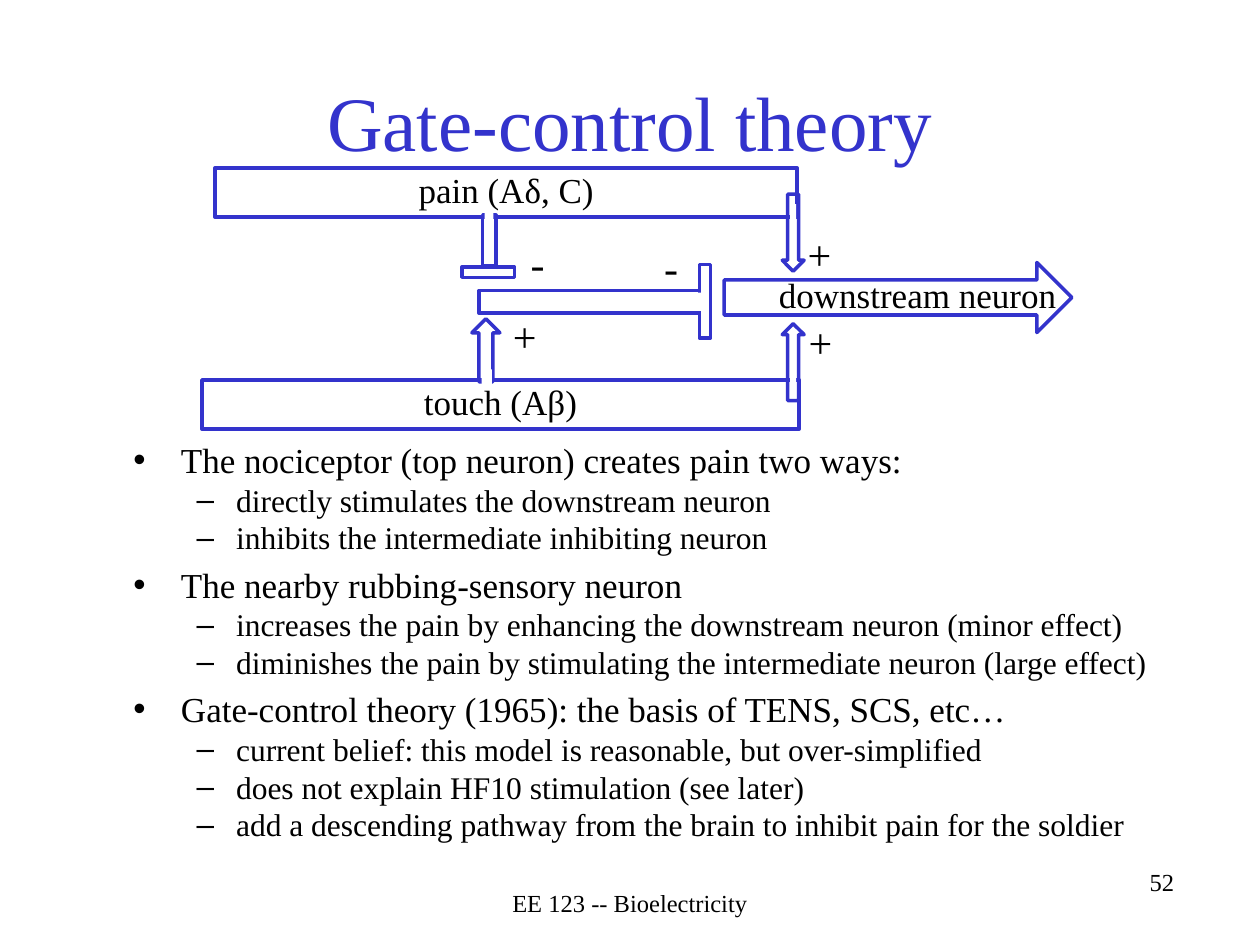
from lxml.etree import SubElement
from pptx import Presentation
from pptx.dml.color import RGBColor
from pptx.enum.shapes import MSO_SHAPE as Kind
from pptx.enum.text import MSO_ANCHOR as Anchor, MSO_AUTO_SIZE as Fit, PP_ALIGN as Align
from pptx.oxml.ns import qn
from pptx.util import Pt

FONT = "Times New Roman"
COLORS = {"blue": "3333CC", "text": "000000", "mask": "FFFFFF"}
LEVELS = [
    {"mark": "•", "size": 20, "left": 27.2, "hang": 27.2, "gap": 4},
    {"mark": "–", "size": 18, "left": 58.7, "hang": 22.5, "gap": 0},
]
POINTS = [
    ("The nociceptor (top neuron) creates pain two ways:", [
        "directly stimulates the downstream neuron",
        "inhibits the intermediate inhibiting neuron",
    ]),
    ("The nearby rubbing-sensory neuron", [
        "increases the pain by enhancing the downstream neuron (minor effect)",
        "diminishes the pain by stimulating the intermediate neuron (large effect)",
    ]),
    ("Gate-control theory (1965): the basis of TENS, SCS, etc…", [
        "current belief: this model is reasonable, but over-simplified",
        "does not explain HF10 stimulation (see later)",
        "add a descending pathway from the brain to inhibit pain for the soldier",
    ]),
]
NEURONS = [
    ("pain (Aδ, C)", (123, 96, 332.5, 28)),
    ("touch (Aβ)", (115.5, 217.2, 341, 28)),
]
PARTS = [
    (Kind.RIGHT_ARROW, (413.8, 150, 198.7, 40)),
    (Kind.RECTANGLE, (399.6, 151.2, 6.5, 42)),
    (Kind.RECTANGLE, (273.7, 166, 126, 13)),
]
LINKS = [
    (Kind.RECTANGLE, (275.8, 123, 7.5, 29)),
    (Kind.RECTANGLE, (264, 152.5, 30, 6)),
    (Kind.UP_ARROW, (447, 185, 12.5, 44)),
    (Kind.UP_ARROW, (269.7, 182.2, 16, 36)),
    (Kind.DOWN_ARROW, (447, 111, 12.5, 44)),
]
MASKS = [
    (277, 120.5, 5, 10),
    (275.2, 211, 6, 10),
    (396, 167.2, 6, 10.5),
    (451.5, 116.7, 3.5, 10),
    (451.5, 213, 3.5, 10),
]
SIGNS = [
    ("+", 454.5, 127.2),
    ("+", 455, 177.3),
    ("+", 286, 174),
    ("-", 296.2, 132.3),
    ("-", 372.5, 134.5),
]


def tone(name):
    return RGBColor.from_string(COLORS[name])


def style(para, size, color="text", align=Align.LEFT):
    para.alignment = align
    for run in para.runs:
        run.font.name = FONT
        run.font.size = Pt(size)
        run.font.color.rgb = tone(color)


def place(shape, box):
    shape.left, shape.top, shape.width, shape.height = map(Pt, box)


def label(slide, text, box, size, align=Align.LEFT):
    frame = slide.shapes.add_textbox(*map(Pt, box)).text_frame
    frame.word_wrap = True
    frame.text = text
    style(frame.paragraphs[0], size, align=align)


def outline(slide, kind, box, width=2):
    shape = slide.shapes.add_shape(kind, *map(Pt, box))
    shape.shadow.inherit = False
    shape.fill.background()
    shape.line.color.rgb = tone("blue")
    shape.line.width = Pt(width)
    return shape


def neuron(slide, text, box):
    frame = outline(slide, Kind.RECTANGLE, box, 2.25).text_frame
    frame.margin_left = frame.margin_right = frame.margin_top = 0
    frame.margin_bottom = Pt(3.6)
    frame.vertical_anchor = Anchor.MIDDLE
    frame.word_wrap = False
    frame.text = text
    style(frame.paragraphs[0], 20, align=Align.CENTER)


def mask(slide, box):
    shape = slide.shapes.add_shape(Kind.RECTANGLE, *map(Pt, box))
    shape.shadow.inherit = False
    shape.fill.solid()
    shape.fill.fore_color.rgb = tone("mask")
    shape.line.fill.background()


def heading(slide, text):
    title = slide.shapes.title
    place(title, (54, 24, 612, 90))
    frame = title.text_frame
    frame.auto_size = Fit.NONE
    frame.vertical_anchor = Anchor.MIDDLE
    frame.text = text
    style(frame.paragraphs[0], 44, "blue", Align.CENTER)


def bullet(para, text, level, first):
    rule = LEVELS[level]
    para.text = text
    para.level = level
    props = para._p.get_or_add_pPr()
    props.set("marL", str(Pt(rule["left"])))
    props.set("indent", str(-Pt(rule["hang"])))
    SubElement(props, qn("a:buChar")).set("char", rule["mark"])
    para.space_before = Pt(0 if first else rule["gap"])
    style(para, rule["size"])


def outline_list(slide):
    body = slide.placeholders[1]
    place(body, (69, 247, 597, 246))
    frame = body.text_frame
    frame.auto_size = Fit.NONE
    lines = []
    for point, details in POINTS:
        lines += [(point, 0)] + [(line, 1) for line in details]
    for i, (text, level) in enumerate(lines):
        para = frame.add_paragraph() if i else frame.paragraphs[0]
        bullet(para, text, level, i == 0)


def circuit(slide):
    for kind, box in PARTS:
        outline(slide, kind, box)
    label(slide, "downstream neuron", (438, 152.5, 174, 32), 20)
    for text, box in NEURONS:
        neuron(slide, text, box)
    for kind, box in LINKS:
        outline(slide, kind, box)
    for box in MASKS:
        mask(slide, box)
    for sign, left, top in SIGNS:
        label(slide, sign, (left, top, 30, 36), 24)


def main():
    deck = Presentation()
    deck.slide_width, deck.slide_height = Pt(720), Pt(540)
    slide = deck.slides.add_slide(deck.slide_layouts[1])
    heading(slide, "Gate-control theory")
    outline_list(slide)
    label(slide, "52", (450, 492, 228, 36), 14, Align.RIGHT)
    label(slide, "EE 123 -- Bioelectricity", (246, 504, 228, 24), 14, Align.CENTER)
    circuit(slide)
    deck.save("out.pptx")


if __name__ == "__main__":
    main()
